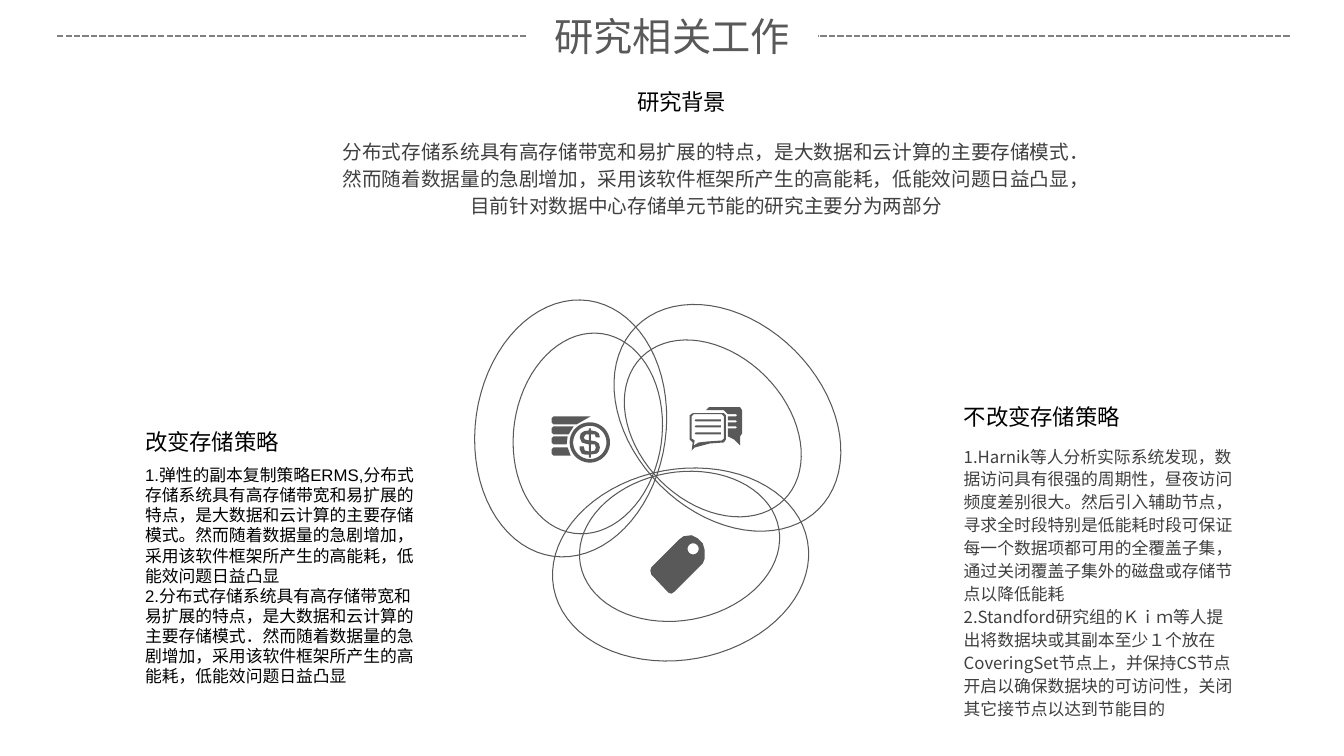
import math

import pptx
import pptx.dml.color
import pptx.enum.dml
import pptx.enum.shapes
import pptx.enum.text
import pptx.oxml.ns
import pptx.util
from lxml import etree

BLACK = pptx.dml.color.RGBColor(0x00, 0x00, 0x00)
BODY = pptx.dml.color.RGBColor(0x40, 0x40, 0x40)
INK = pptx.dml.color.RGBColor(0x59, 0x59, 0x59)
RULE = pptx.dml.color.RGBColor(0x80, 0x80, 0x80)

COLS, ROWS = 1333, 750
CELL = pptx.util.Inches(0.01)

TITLE = dict(name="Arial", size=28, color=INK)
HEADING = dict(name="Arial", size=16, color=BLACK)
PLAIN = dict(name="Arial", size=12, color=BLACK)
SUMMARY = dict(name="Quicksand", size=14, color=BODY)
DETAIL = dict(name="Noto Sans CJK SC", size=12, color=BODY)

HEADINGS = [
    (622, 83, "研究背景"),
    (134, 420, "改变存储策略"),
    (946, 395, "不改变存储策略"),
]
BACKGROUND = [
    "分布式存储系统具有高存储带宽和易扩展的特点，是大数据和云计算的主要存储模式．"
    "然而随着数据量的急剧增加，采用该软件框架所产生的高能耗，低能效问题日益凸显，"
    "目前针对数据中心存储单元节能的研究主要分为两部分",
]
CHANGING = [
    "1.弹性的副本复制策略ERMS,分布式存储系统具有高存储带宽和易扩展的特点，"
    "是大数据和云计算的主要存储模式。然而随着数据量的急剧增加，"
    "采用该软件框架所产生的高能耗，低能效问题日益凸显",
    "2.分布式存储系统具有高存储带宽和易扩展的特点，是大数据和云计算的主要存储模式．"
    "然而随着数据量的急剧增加，采用该软件框架所产生的高能耗，低能效问题日益凸显",
]
KEEPING = [
    "1.Harnik等人分析实际系统发现，数据访问具有很强的周期性，昼夜访问频度差别很大。"
    "然后引入辅助节点，寻求全时段特别是低能耗时段可保证每一个数据项都可用的全覆盖子集，"
    "通过关闭覆盖子集外的磁盘或存储节点以降低能耗",
    "2.Standford研究组的Ｋｉｍ等人提出将数据块或其副本至少１个放在CoveringSet节点上，"
    "并保持CS节点开启以确保数据块的可访问性，关闭其它接节点以达到节能目的",
]

RINGS = [
    ((721.5, 414.5), (707, 425), 45),
    ((675, 560), (674, 542), -10.4),
    ((566, 425), (583, 430), -82),
]
OUTER, INNER = (128, 94.5), (100, 73.5)

TAG = [(18, 57), (1, 39), (0, 35), (1, 32), (29, 4), (33, 1), (41, 0), (47, 3),
       (52, 8), (54, 15), (54, 23), (52, 28), (24, 56), (21, 58)]
DOLLAR = [(39, 18), (39, 24), (44, 25), (47, 27), (48, 31), (47, 35), (45, 37),
          (39, 38), (39, 41), (37, 41), (37, 38), (33, 38), (30, 37), (28, 33),
          (28, 30), (32, 30), (33, 34), (37, 35), (37, 28), (33, 27), (30, 26),
          (28, 21), (29, 17), (32, 15), (37, 14), (37, 12), (39, 12), (39, 14),
          (44, 15), (47, 17), (48, 21), (44, 21), (43, 18)]
DOLLAR_GAPS = [
    [(37, 18), (34, 18), (32, 21), (33, 23), (37, 24)],
    [(39, 28), (39, 35), (43, 34), (44, 31), (43, 28)],
]
COIN_BARS = [(0, 39, 25), (10, 22, 17), (20, 16, 15), (31, 16, 19)]
BACK_BUBBLE = [(38, 29), (44, 32), (50, 38), (50, 29), (52, 26), (52, 3), (50, 0),
               (19, 0), (16, 3), (34, 3), (38, 7), (46, 7), (47, 8), (46, 9),
               (38, 9), (38, 13), (46, 13), (47, 14), (46, 15), (38, 15),
               (38, 19), (46, 19), (47, 20), (46, 21), (38, 21)]
FRONT_BUBBLE = [(36, 32), (34, 35), (20, 36), (5, 40), (2, 43), (3, 35), (0, 32),
                (0, 8), (3, 6), (34, 6), (36, 8)]
FRONT_GAP = [(4, 38), (5, 33), (2, 31), (2, 9), (4, 7), (32, 7), (34, 9),
             (34, 31), (32, 33), (18, 34), (9, 35)]


def ellipse(center, radii, angle=0, steps=72):
    """Return the points of a turned ellipse."""
    cos, sin = math.cos(math.radians(angle)), math.sin(math.radians(angle))
    points = []
    for i in range(steps):
        t = math.tau * i / steps
        x, y = radii[0] * math.cos(t), radii[1] * math.sin(t)
        points.append((center[0] + x * cos - y * sin, center[1] + x * sin + y * cos))
    return points


def bar(top, right_top, right_bottom, left=0, height=8, corner=2):
    """Return a bar with cut left corners and a slanted right end."""
    bottom = top + height
    return [(left + corner, top), (right_top, top), (right_bottom, bottom),
            (left + corner, bottom), (left, bottom - corner), (left, top + corner)]


class Deck:
    """Hold the grid, the style and the current slide."""

    def __init__(self, prs):
        """Add a title-only slide of the grid's size."""
        prs.slide_width, prs.slide_height = COLS * CELL, ROWS * CELL
        self.s = prs.slides.add_slide(prs.slide_layouts[5])

    def fill_text(self, sp, paragraphs, style, align="LEFT", spacing=None):
        """Write styled paragraphs into a shape."""
        tf = sp.text_frame
        frame = dict(word_wrap=True, vertical_anchor=pptx.enum.text.MSO_ANCHOR.TOP,
                     auto_size=pptx.enum.text.MSO_AUTO_SIZE.SHAPE_TO_FIT_TEXT)
        for key, value in frame.items():
            setattr(tf, key, value)
        for i, text in enumerate(paragraphs):
            p = tf.add_paragraph() if i else tf.paragraphs[0]
            p.alignment = getattr(pptx.enum.text.PP_ALIGN, align)
            p.line_spacing = spacing
            r = p.add_run()
            r.text = text
            font = dict(name=style["name"], size=pptx.util.Pt(style["size"]))
            for key, value in font.items():
                setattr(r.font, key, value)
            r.font.color.rgb = style["color"]

    def title(self, box, text):
        """Place and fill the title placeholder."""
        sp = self.s.shapes.title
        for key, value in zip(("left", "top", "width", "height"), box):
            setattr(sp, key, value * CELL)
        self.fill_text(sp, [text], TITLE)

    def text(self, box, paragraphs, style, **layout):
        """Add a text box."""
        sp = self.s.shapes.add_textbox(*(v * CELL for v in box))
        self.fill_text(sp, paragraphs, style, **layout)

    def rule(self, x1, x2, y):
        """Add a dashed horizontal line."""
        c = self.s.shapes.add_connector(pptx.enum.shapes.MSO_CONNECTOR.STRAIGHT,
                                        *(v * CELL for v in (x1, y, x2, y)))
        c.line.color.rgb = RULE
        c.line.width = pptx.util.Pt(1.5)
        c.line.dash_style = pptx.enum.dml.MSO_LINE.SQUARE_DOT
        etree.SubElement(c._element.spPr, pptx.oxml.ns.qn("a:effectLst"))

    def outline(self, contours, filled, left=0, top=0):
        """Add one freeform made of closed contours."""
        builder = None
        for contour in contours:
            points = [((left + x) * CELL, (top + y) * CELL) for x, y in contour]
            if builder is None:
                builder = self.s.shapes.build_freeform(*points[0])
            else:
                builder.move_to(*points[0])
            builder.add_line_segments(points[1:], close=True)
        sp = builder.convert_to_shape()
        sp.shadow.inherit = False
        if filled:
            sp.fill.solid()
            sp.fill.fore_color.rgb = INK
            sp.line.fill.background()
        else:
            sp.fill.background()
            sp.line.color.rgb = INK
            sp.line.width = pptx.util.Pt(0.75)


def main():
    """Build the slide and save it."""
    prs = pptx.Presentation()
    deck = Deck(prs)
    deck.title((540, 7, 265, 57), "研究相关工作")
    for x1, x2 in ((1279, 811), (522, 55)):
        deck.rule(x1, x2, 36)

    for outer, inner, angle in RINGS:
        deck.outline([ellipse(outer, OUTER, angle), ellipse(inner, INNER, angle)], False)

    deck.outline([TAG, ellipse((42.5, 13.5), (5.5, 5.5))], True, 645, 531)
    coin = [ellipse((38, 26), (r, r)) for r in (20, 16.5)]
    bars = [bar(*b) for b in COIN_BARS]
    deck.outline(coin + bars + [DOLLAR] + DOLLAR_GAPS, True, 547, 413)
    lines = [bar(y, 31, 31, left=5, height=2, corner=1) for y in (12, 18, 25)]
    deck.outline([BACK_BUBBLE, FRONT_BUBBLE, FRONT_GAP] + lines, True, 684, 404)

    for left, top, heading in HEADINGS:
        deck.text((left, top, 177, 37), [heading], HEADING)
    deck.text((327, 131, 747, 91), BACKGROUND, SUMMARY, align="CENTER", spacing=1.14)
    deck.text((134, 456, 289, 232), CHANGING, PLAIN)
    deck.text((946, 435, 289, 286), KEEPING, DETAIL, spacing=1.14)
    prs.save("out.pptx")


if __name__ == "__main__":
    main()
